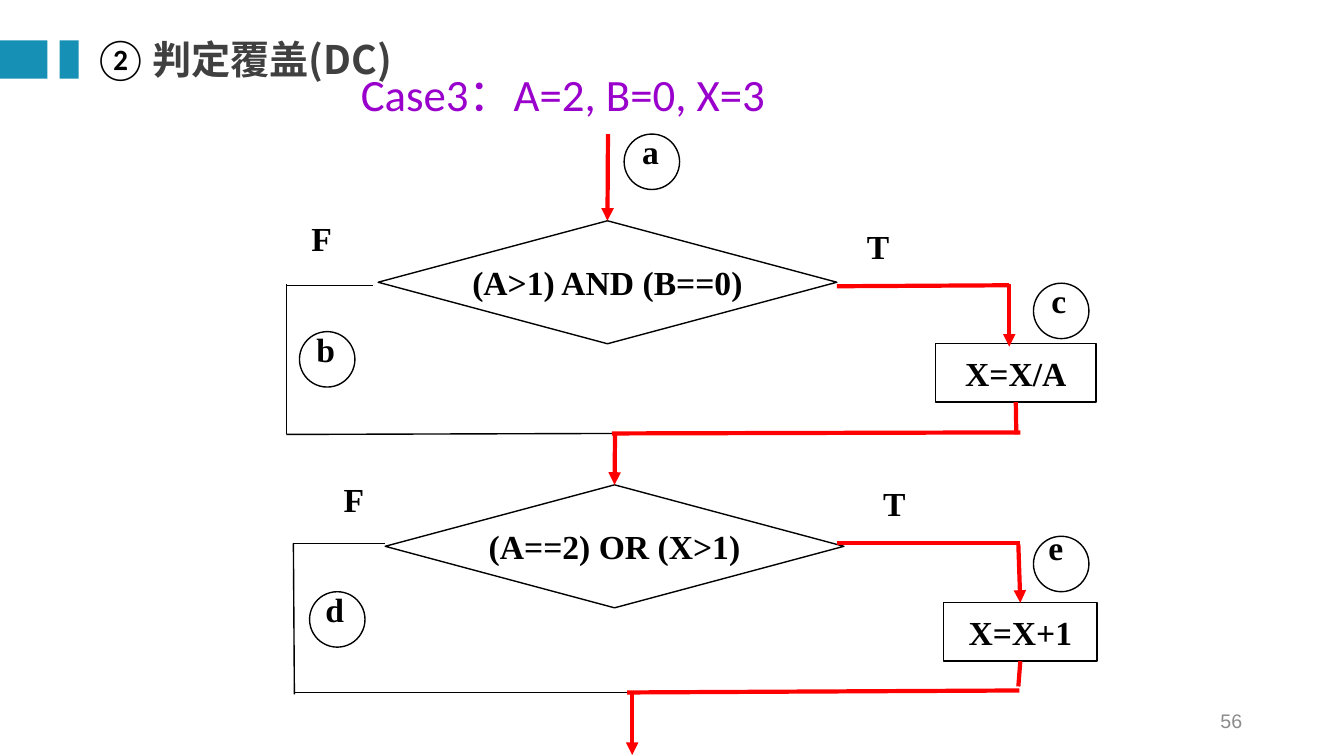
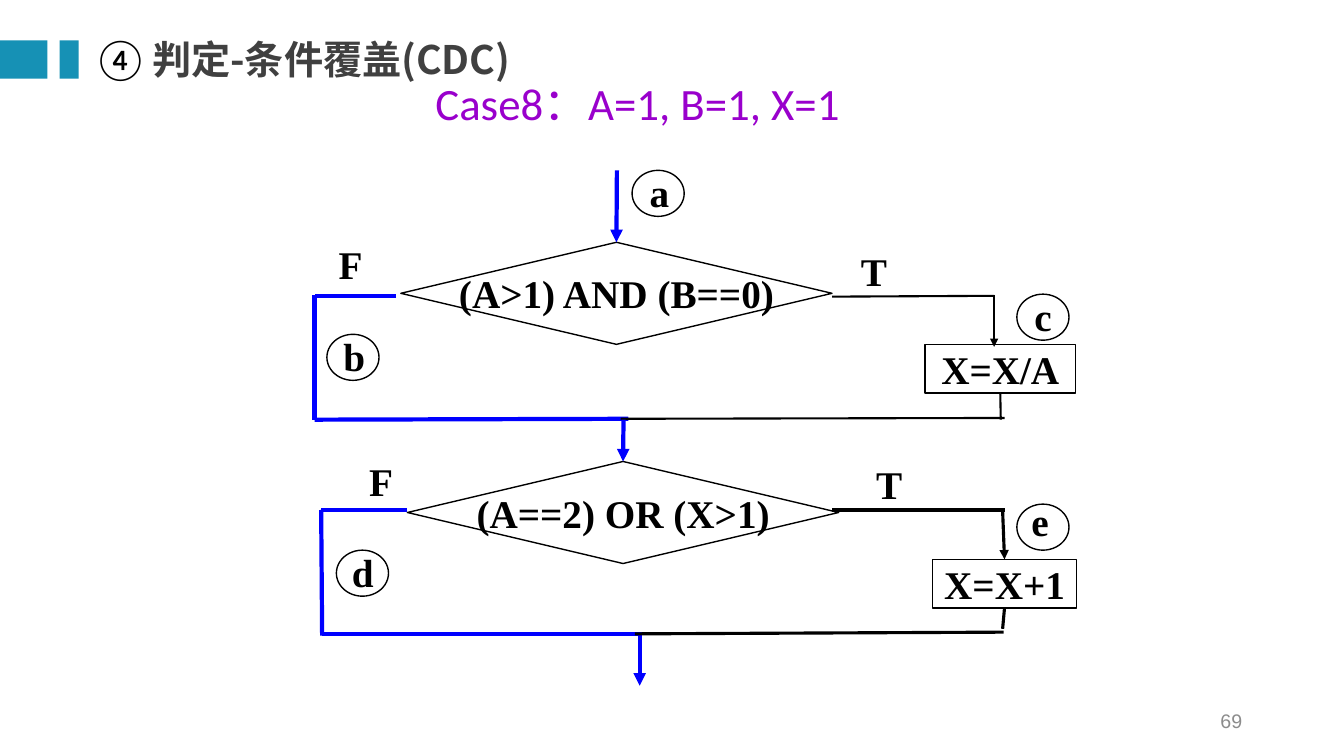
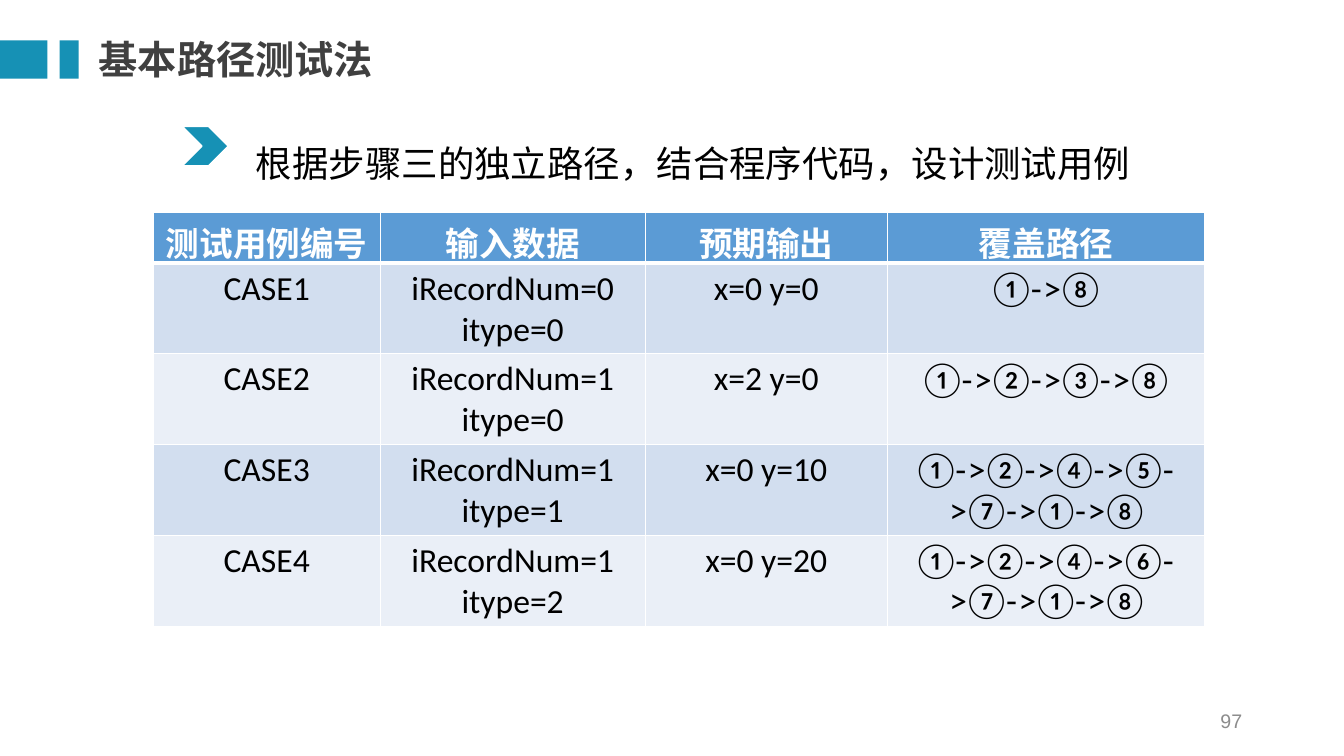
"""Build three slides on white-box test coverage."""
from lxml.etree import SubElement
from pptx import Presentation
from pptx.dml.color import RGBColor
from pptx.enum.shapes import MSO_CONNECTOR as Link, MSO_SHAPE as Shape
from pptx.enum.text import MSO_ANCHOR as Anchor, PP_ALIGN as Align
from pptx.oxml import parse_xml
from pptx.oxml.ns import nsdecls, qn
from pptx.util import Inches, Pt

COLORS = {
    "teal": "1691B5", "title": "404040", "number": "8C8C8C", "case": "9900CC",
    "black": "000000", "white": "FFFFFF", "red": "FF0000", "blue": "0000FF",
    "header": "5B9BD5", "odd": "D2DEEF", "even": "EAEFF7",
}
CJK, LATIN, SYMBOL, SERIF = "Noto Sans CJK SC", "Calibri", "Lato", "Times New Roman"
TOP, BOTTOM = 0, 2


def color(name):
    return RGBColor.from_string(COLORS[name])


class Slides:
    def __init__(self):
        self.deck = Presentation()
        self.deck.slide_width, self.deck.slide_height = Inches(13.33), Inches(7.5)
        self.page = None
        self.place_on()

    def place_on(self, origin=(0, 0), scale=(1, 1), offset=(0, 0)):
        self.origin, self.scale, self.offset = origin, scale, offset

    def point(self, x, y):
        return [Inches(shift + (value - start) * factor) for value, start, factor, shift
                in zip((x, y), self.origin, self.scale, self.offset)]

    def area(self, x, y, width, height):
        return *self.point(x, y), Inches(width * self.scale[0]), Inches(height * self.scale[1])

    def new_page(self, number, *heading):
        self.place_on()
        self.page = self.deck.slides.add_slide(self.deck.slide_layouts[6])
        for left, width in ((0, 0.47), (0.59, 0.19)):
            self.shape(Shape.RECTANGLE, (left, 0.4, width, 0.38), fill="teal")
        self.text((0.98, 0.31, 8.07, 0.55), *heading, anchor=Anchor.MIDDLE, inset=0)
        self.text((9.42, 6.95, 3, 0.4), (str(number), 14, "Arial", "number"),
                  anchor=Anchor.MIDDLE, align=Align.RIGHT)

    def span(self, para, text, size, font, tint, bold=False):
        span = para.add_run()
        span.text = text
        span.font.size, span.font.bold, span.font.name = Pt(size), bold, font
        span.font.color.rgb = color(tint)
        east = SubElement(span.font._element, qn("a:ea"))
        east.set("typeface", SYMBOL if font == SYMBOL else CJK)

    def text(self, area, *spans, anchor=Anchor.TOP, align=Align.LEFT, inset=None, spacing=None):
        box = self.page.shapes.add_textbox(*self.area(*area))
        frame = box.text_frame
        frame.word_wrap, frame.vertical_anchor = True, anchor
        if inset is not None:
            frame.margin_left = frame.margin_right = Inches(inset)
            frame.margin_top = frame.margin_bottom = Inches(inset)
        para = frame.paragraphs[0]
        para.alignment = align
        if spacing:
            para.line_spacing = spacing
        for span in spans:
            self.span(para, *span)

    def shape(self, kind, area, fill=None, line=None, width=1, label=None):
        shape = self.page.shapes.add_shape(kind, *self.area(*area))
        shape.shadow.inherit = False
        if fill:
            shape.fill.solid()
            shape.fill.fore_color.rgb = color(fill)
        else:
            shape.fill.background()
        if line:
            shape.line.color.rgb = color(line)
            shape.line.width = Pt(width)
        else:
            shape.line.fill.background()
        if label:
            frame = shape.text_frame
            frame.word_wrap, frame.vertical_anchor = False, Anchor.MIDDLE
            frame.paragraphs[0].alignment = Align.CENTER
            self.span(frame.paragraphs[0], *label)
        return shape

    def line(self, start, end, style, arrow=False, begin_at=None, end_at=None):
        line = self.page.shapes.add_connector(Link.STRAIGHT, *self.point(*start), *self.point(*end))
        line.line.color.rgb, line.line.width = color(style[0]), Pt(style[1])
        if arrow:
            SubElement(line.line._get_or_add_ln(), qn("a:tailEnd")).set("type", "triangle")
        SubElement(line._element.spPr, qn("a:effectLst"))
        if begin_at:
            line.begin_connect(*begin_at)
        if end_at:
            line.end_connect(*end_at)

    def flowchart(self, size, main, false, true_upper, true_lower):
        def label(text):
            return text, size, SERIF, "black", True

        def block(kind, area, text):
            return self.shape(kind, area, line="black", label=label(text))

        first = block(Shape.DIAMOND, (3.75, 2.19, 4.55, 1.22), "(A>1) AND (B==0)")
        second = block(Shape.DIAMOND, (3.82, 4.81, 4.55, 1.22), "(A==2) OR (X>1)")
        divide = block(Shape.RECTANGLE, (9.28, 3.41, 1.59, 0.58), "X=X/A")
        add = block(Shape.RECTANGLE, (9.36, 5.98, 1.52, 0.58), "X=X+1")

        for x, y in ((6.19, 1.33), (2.97, 3.29), (10.25, 2.81), (3.07, 5.87), (10.25, 5.32)):
            self.shape(Shape.OVAL, (x, y, 0.55, 0.55), fill="white", line="black")
        for text, x, y in (("a", 6.27, 1.25), ("b", 3.04, 3.21), ("c", 10.33, 2.73),
                           ("d", 3.13, 5.79), ("e", 10.3, 5.18), ("F", 2.99, 2.11),
                           ("F", 3.31, 4.7), ("T", 8.5, 2.19), ("T", 8.66, 4.74)):
            self.text((x, y, 0.5, 0.5), label(text))

        for start, end in (((3.7, 2.83), (2.84, 2.83)), ((2.84, 2.82), (2.84, 4.31)),
                           ((2.84, 4.31), (6.15, 4.3)), ((3.82, 5.39), (2.91, 5.39)),
                           ((2.91, 5.39), (2.92, 6.89)), ((2.92, 6.87), (6.3, 6.87))):
            self.line(start, end, false)

        self.line((8.3, 2.84), (10.01, 2.83), true_upper)
        self.line((10.01, 2.82), (10.01, 3.44), true_upper, arrow=True)
        self.line((10.08, 3.99), (10.08, 4.31), true_upper, begin_at=(divide, BOTTOM))
        self.line((6.07, 4.3), (10.12, 4.29), true_upper)
        self.line((8.3, 5.39), (10.12, 5.39), true_lower)
        self.line((10.1, 5.4), (10.12, 5.98), true_lower, arrow=True, end_at=(add, TOP))
        self.line((10.12, 6.56), (10.1, 6.81), true_lower, begin_at=(add, BOTTOM))
        self.line((6.22, 6.87), (10.11, 6.85), true_lower)

        self.line((6.03, 1.33), (6.03, 2.19), main, arrow=True, end_at=(first, TOP))
        self.line((6.1, 4.31), (6.1, 4.81), main, arrow=True, end_at=(second, TOP))
        self.line((6.27, 6.89), (6.27, 7.49), main, arrow=True)

    def table(self, area, widths, heights, rows):
        table = self.page.shapes.add_table(len(rows), len(widths), *self.area(*area)).table
        for column, width in zip(table.columns, widths):
            column.width = Inches(width)
        for row, height in zip(table.rows, heights):
            row.height = Inches(height)
        for i, row in enumerate(rows):
            head = i == 0
            fill = "header" if head else ("even", "odd")[i % 2]
            for j, text in enumerate(row):
                font = SYMBOL if j == 3 and not head else LATIN
                cell = table.cell(i, j)
                cell.fill.solid()
                cell.fill.fore_color.rgb = color(fill)
                para = cell.text_frame.paragraphs[0]
                para.alignment = Align.CENTER
                self.span(para, text, 24, font, "white" if head else "black", head)
                self.borders(cell, top=3 if i == 1 else 1, bottom=3 if head else 1)

    def borders(self, cell, top, bottom):
        sides = (("lnL", 1), ("lnR", 1), ("lnT", top), ("lnB", bottom))
        for index, (side, width) in enumerate(sides):
            cell._tc.get_or_add_tcPr().insert(index, parse_xml(
                f'<a:{side} {nsdecls("a")} w="{Pt(width)}"><a:solidFill>'
                f'<a:srgbClr val="{COLORS["white"]}"/></a:solidFill></a:{side}>'))


def heading(text):
    return text, 28, CJK, "title", True


def case_title(slides, area, text):
    slides.text(area, (text, 32, LATIN, "case"), anchor=Anchor.BOTTOM, spacing=0.9)


def main():
    slides = Slides()

    slides.new_page(56, ("② ", 28, SYMBOL, "black"), heading("判定覆盖(DC)"))
    case_title(slides, (3.48, 0.38, 4.95, 0.87), "Case3：A=2, B=0, X=3")
    slides.flowchart(24, main=("red", 3), false=("black", 1),
                     true_upper=("red", 3), true_lower=("red", 3))

    slides.new_page(69, ("④ ", 28, SYMBOL, "black"), heading("判定-条件覆盖(CDC)"))
    case_title(slides, (4.22, 0.45, 4.96, 0.89), "Case8：A=1, B=1, X=1")
    slides.place_on(origin=(2.84, 1.33), scale=(0.94, 0.83), offset=(3.12, 1.69))
    slides.flowchart(28, main=("blue", 3), false=("blue", 3),
                     true_upper=("black", 1.5), true_lower=("black", 2.25))

    slides.new_page(97, heading("基本路径测试法"))
    slides.shape(Shape.CHEVRON, (1.8, 1.25, 0.47, 0.4), fill="teal", line="white", width=1.5)
    slides.text((2.44, 1.09, 9.12, 0.8),
                ("根据步骤三的独立路径，结合程序代码，设计测试用例", 26, CJK, "black"),
                align=Align.JUSTIFY, spacing=1.6)
    slides.table((1.52, 2.11, 10.43, 4.1), (2.25, 2.63, 2.4, 3.15), (0.5, 0.9, 0.9, 0.9, 0.9), (
        ("测试用例编号", "输入数据", "预期输出", "覆盖路径"),
        ("CASE1", "iRecordNum=0 itype=0", "x=0 y=0", "①->⑧"),
        ("CASE2", "iRecordNum=1 itype=0", "x=2 y=0", "①->②->③->⑧"),
        ("CASE3", "iRecordNum=1 itype=1", "x=0 y=10", "①->②->④->⑤->⑦->①->⑧"),
        ("CASE4", "iRecordNum=1 itype=2", "x=0 y=20", "①->②->④->⑥->⑦->①->⑧"),
    ))

    slides.deck.save("out.pptx")


if __name__ == "__main__":
    main()
